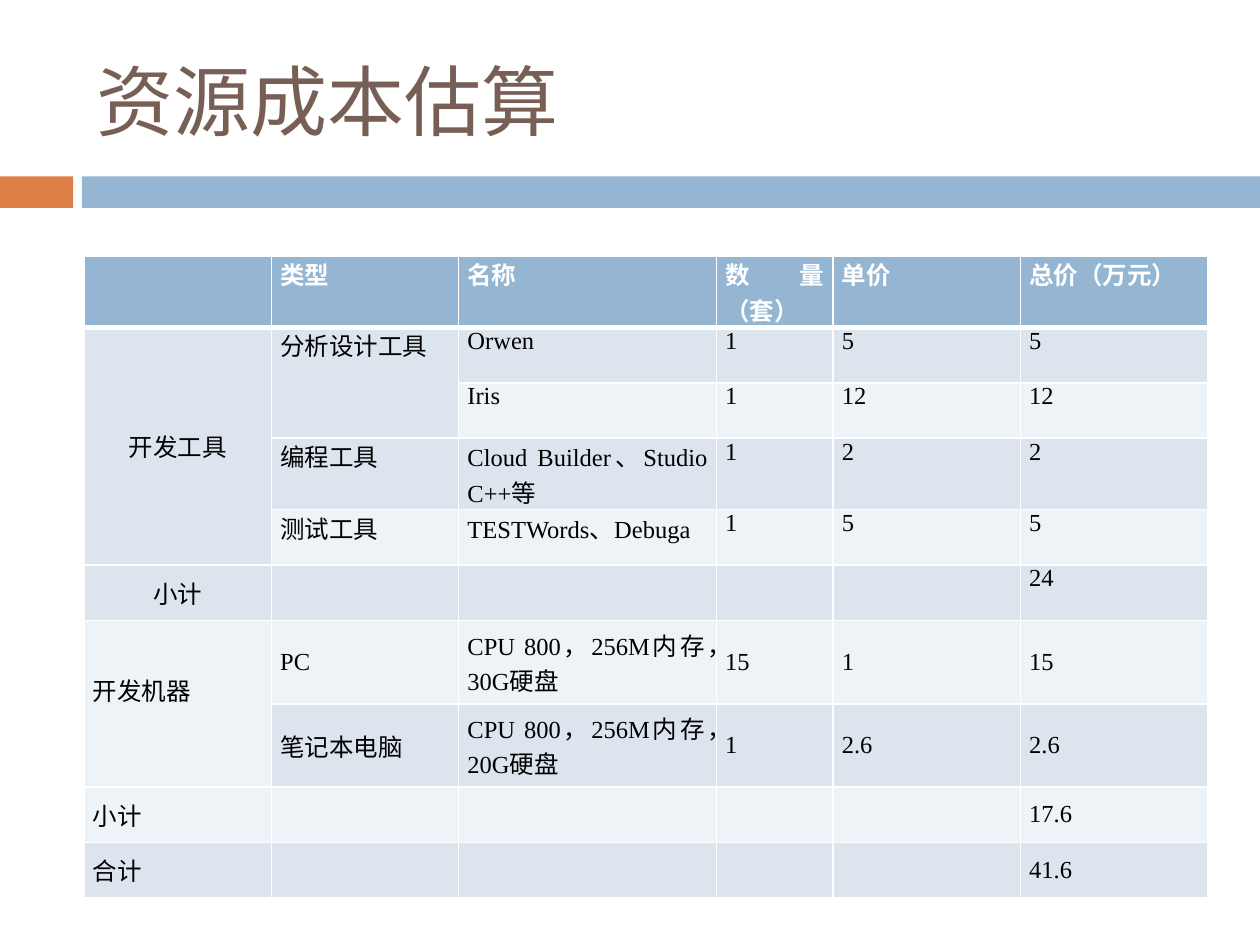
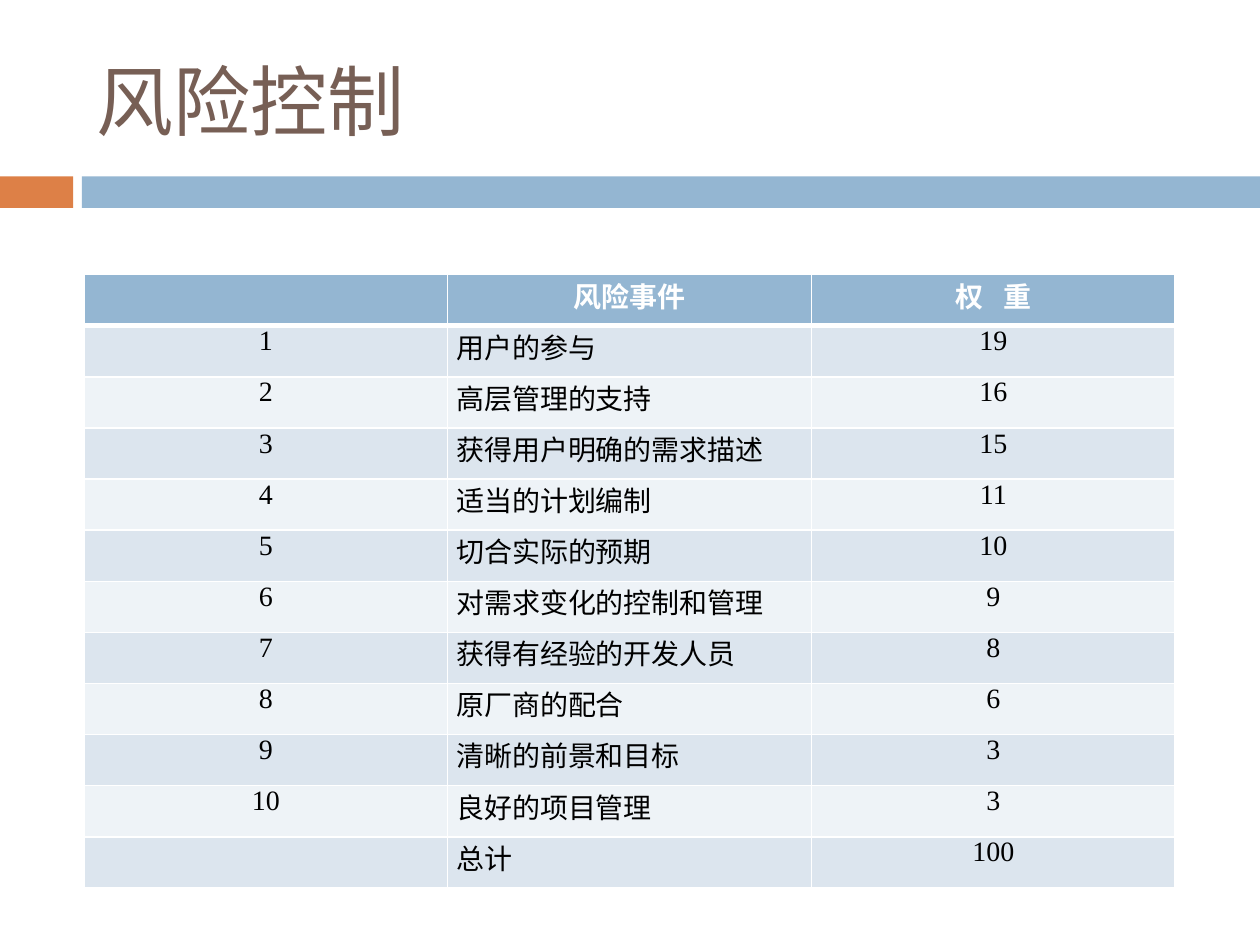
from lxml.etree import SubElement
from pptx import Presentation
from pptx.dml.color import RGBColor
from pptx.enum.shapes import MSO_SHAPE
from pptx.enum.text import MSO_ANCHOR, MSO_AUTO_SIZE, PP_ALIGN
from pptx.oxml.ns import qn
from pptx.util import Inches, Pt

COLORS = {
    "title": "775F55", "accent": "DD8047", "band": "94B6D2",
    "odd": "DCE5EE", "even": "EEF3F7", "white": "FFFFFF", "black": "000000",
}
TITLE_FONT, TABLE_FONT = "Cabin", "Times New Roman"
LEFT = 6.67  # percent of the slide width

deck = Presentation()
deck.slide_width, deck.slide_height = Inches(10), Inches(7.5)


def share(left, top, width, height):
    """Turn percentages of the slide's size into a box in EMU."""
    across, down = deck.slide_width / 100, deck.slide_height / 100
    return [round(n) for n in (left * across, top * down, width * across, height * down)]


def add_borders(cell, row):
    """Draw white cell borders, with a thick line under the header row."""
    weights = {"lnL": 1, "lnR": 1, "lnT": 3 if row == 1 else 1, "lnB": 3 if row == 0 else 1}
    properties = cell._tc.get_or_add_tcPr()
    for side, points in weights.items():
        line = SubElement(properties, qn(f"a:{side}"), w=str(Pt(points)))
        paint = SubElement(line, qn("a:solidFill"))
        SubElement(paint, qn("a:srgbClr"), val=COLORS["white"])


costs = [
    ["", "类型", "名称", "数量（套）", "单价", "总价（万元）"],
    ["开发工具", "分析设计工具", "Orwen", "1", "5", "5"],
    ["", "", "Iris", "1", "12", "12"],
    ["", "编程工具", "Cloud Builder、Studio C++等", "1", "2", "2"],
    ["", "测试工具", "TESTWords、Debuga", "1", "5", "5"],
    ["小计", "", "", "", "", "24"],
    ["开发机器", "PC", "CPU 800，256M内存，30G硬盘", "15", "1", "15"],
    ["", "笔记本电脑", "CPU 800，256M内存，20G硬盘", "1", "2.6", "2.6"],
    ["小计", "", "", "", "", "17.6"],
    ["合计", "", "", "", "", "41.6"],
]
risk_events = [
    ("用户的参与", 19), ("高层管理的支持", 16), ("获得用户明确的需求描述", 15),
    ("适当的计划编制", 11), ("切合实际的预期", 10), ("对需求变化的控制和管理", 9),
    ("获得有经验的开发人员", 8), ("原厂商的配合", 6), ("清晰的前景和目标", 3),
    ("良好的项目管理", 3),
]
risks = [["", "风险事件", "权 重"]]
risks += [[str(n), event, str(weight)] for n, (event, weight) in enumerate(risk_events, 1)]
risks += [["", "总计", str(sum(weight for _, weight in risk_events))]]

# Column widths and row heights are percentages; spans are (top, bottom, column).
pages = [
    {"title": "资源成本估算", "rows": costs, "top": 27.07, "size": 14,
     "widths": [14.87, 14.87, 20.45, 9.27, 14.87, 14.87],
     "heights": [5.87] * 6 + [8.8] * 2 + [5.87] * 2,
     "spans": [(1, 4, 0), (1, 2, 1), (6, 7, 0)],
     "centred": {(1, 0), (5, 0)},
     "middle": {(1, 0), (5, 0)} | {(r, c) for r in range(6, 10) for c in range(6)}},
    {"title": "风险控制", "rows": risks, "top": 29.07, "size": 16,
     "widths": [28.87] * 3, "heights": [5.41] * len(risks), "spans": [],
     "centred": {(0, 1)} | {(r, c) for r in range(len(risks)) for c in (0, 2)},
     "middle": set()},
]

for page in pages:
    slide = deck.slides.add_slide(deck.slide_layouts[5])
    for left, width, color in ((0, 5.8, "accent"), (6.5, 93.5, "band")):
        band = slide.shapes.add_shape(MSO_SHAPE.RECTANGLE, *share(left, 18.67, width, 3.33))
        band.shadow.inherit = False
        band.fill.solid()
        band.fill.fore_color.rgb = RGBColor.from_string(COLORS[color])
        band.line.fill.background()

    heading = slide.shapes.title
    heading.left, heading.top, heading.width, heading.height = share(LEFT, 3.33, 89.2, 14.4)
    heading.text_frame.auto_size = MSO_AUTO_SIZE.NONE
    heading.text_frame.vertical_anchor = MSO_ANCHOR.MIDDLE
    heading_line = heading.text_frame.paragraphs[0]
    heading_line.alignment = PP_ALIGN.LEFT
    heading_run = heading_line.add_run()
    heading_run.text = page["title"]
    heading_run.font.name, heading_run.font.size = TITLE_FONT, Pt(44)
    heading_run.font.color.rgb = RGBColor.from_string(COLORS["title"])

    box = share(LEFT, page["top"], sum(page["widths"]), sum(page["heights"]))
    grid = slide.shapes.add_table(len(page["rows"]), len(page["widths"]), *box).table
    for column, width in zip(grid.columns, page["widths"]):
        column.width = share(0, 0, width, 0)[2]
    for band_row, height in zip(grid.rows, page["heights"]):
        band_row.height = share(0, 0, 0, height)[3]

    for r, values in enumerate(page["rows"]):
        fill = "band" if r == 0 else "odd" if r % 2 else "even"
        for c, value in enumerate(values):
            cell = grid.cell(r, c)
            add_borders(cell, r)
            cell.fill.solid()
            cell.fill.fore_color.rgb = RGBColor.from_string(COLORS[fill])
            cell.margin_left = cell.margin_right = Inches(0.07)
            cell.margin_top = cell.margin_bottom = 0
            if not value:
                continue
            centred, middle = (r, c) in page["centred"], (r, c) in page["middle"]
            cell.vertical_anchor = MSO_ANCHOR.MIDDLE if middle else MSO_ANCHOR.TOP
            line = cell.text_frame.paragraphs[0]
            line.alignment = PP_ALIGN.CENTER if centred else PP_ALIGN.JUSTIFY
            run = line.add_run()
            run.text = value
            run.font.name, run.font.size, run.font.bold = TABLE_FONT, Pt(page["size"]), r == 0
            run.font.color.rgb = RGBColor.from_string(COLORS["black" if r else "white"])
            if value == "权 重":  # widely spaced heading
                run.font._element.set("spc", "400")
            if value == "开发机器":  # sits a little above the middle
                cell.margin_bottom = Inches(0.22)

    for top, bottom, c in page["spans"]:
        grid.cell(top, c).merge(grid.cell(bottom, c))

deck.save("out.pptx")
